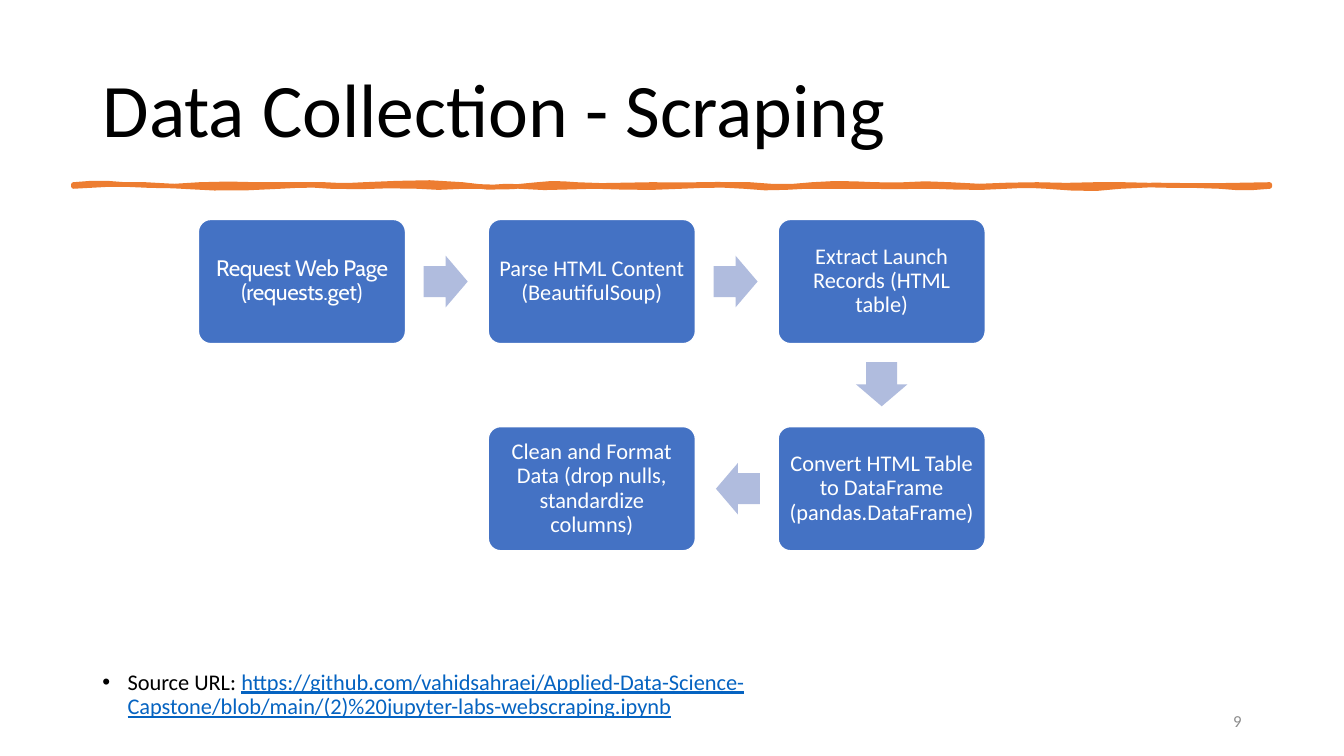
from lxml.etree import SubElement
from pptx import Presentation
from pptx.dml.color import RGBColor
from pptx.enum.shapes import MSO_SHAPE
from pptx.enum.text import MSO_ANCHOR, MSO_AUTO_SIZE, PP_ALIGN
from pptx.oxml.ns import qn
from pptx.util import Cm, Pt

COLOURS = {
    "text": "000000",
    "rule": "ED7D31",
    "step": "4472C4",
    "arrow": "B0BCDE",
    "light": "FFFFFF",
    "link": "0563C1",
    "number": "8C8C8C",
}

# Steps: column, row, text, format values
STEPS = [
    (0, 0, "Request Web Page (requests.get)", {"name": "Cabin"}),
    (1, 0, "Parse HTML Content (BeautifulSoup)", {}),
    (2, 0, "Extract Launch Records (HTML table)", {}),
    (2, 1, "Convert HTML Table to DataFrame (pandas.DataFrame)", {}),
    (1, 1, "Clean and Format Data (drop nulls, standardize columns)", {}),
]

# Waves of the rule: end x in cm, bend of the first and second half
TOP_WAVES = [
    (1.3, -2, -2), (3.18, 1, 3), (5.36, -2, 1), (6.33, 0, 0),
    (7.32, 1, 1), (9.81, -1, -4), (11.69, 5, 3), (12.68, -2, -1),
    (14.56, 2, 0), (17.05, 1, -1), (18.62, 2, 3), (20.2, -2, -1),
    (22.1, 2, -3), (24.29, 4, -1), (26.47, 2, -1), (30.15, 2, 1),
]
BOTTOM_WAVES = [
    (28.88, 2, 2), (26.39, -1, -3), (24.52, 4, 2), (23.52, -1, -1),
    (21.65, 2, 1), (20.07, 0, 1), (18.47, 0, 0), (16.9, 1, 3),
    (15.32, -2, -1), (13.14, 2, 1), (11.23, 0, 3), (10.27, -2, 2),
    (8.67, -1, 3), (6.48, -2, 2), (5.21, -2, -1), (2.72, 2, 3),
    (0, -3, -3),
]


def apply(target, values):
    for name, value in values.items():
        setattr(target, name, value)


def colour(name):
    return RGBColor.from_string(COLOURS[name])


def place(shape, box):
    apply(shape, dict(zip(("left", "top", "width", "height"), map(Cm, box))))


def add_run(paragraph, text, colour_name, size, **font_values):
    run = paragraph.add_run()
    run.text = text
    apply(run.font, {"name": "Calibri", "size": Pt(size), **font_values})
    run.font.color.rgb = colour(colour_name)
    return run


def paint(shape, fill, line=None, width=1):
    shape.shadow.inherit = False
    shape.fill.solid()
    shape.fill.fore_color.rgb = colour(fill)
    if line:
        shape.line.color.rgb = colour(line)
        shape.line.width = Pt(width)
    else:
        shape.line.fill.background()


def add_title(slide, box):
    title = slide.shapes.title
    place(title, box)
    apply(title.text_frame, {
        "word_wrap": True,
        "auto_size": MSO_AUTO_SIZE.NONE,
        "vertical_anchor": MSO_ANCHOR.MIDDLE,
    })
    paragraph = title.text_frame.paragraphs[0]
    apply(paragraph, {"alignment": PP_ALIGN.LEFT, "line_spacing": 0.9,
                      "space_after": Pt(6)})
    add_run(paragraph, "Data Collection - Scraping", "text", 54)


def wave_points(start_x, edge_y, waves, samples=3):
    """Follow cubic curves whose control points stand at thirds."""
    points = []
    for end_x, first_bend, second_bend in waves:
        for index in range(1, samples + 1):
            t = index / samples
            bend = 3 * t * (1 - t) * ((1 - t) * first_bend + t * second_bend)
            points.append((start_x + t * (end_x - start_x),
                           edge_y + 0.025 * bend))
        start_x = end_x
    return points


def add_rule(slide, box):
    left, top, width, height = box
    outline = [(0, 0)] + wave_points(0, 0, TOP_WAVES)
    outline += [(width, height)] + wave_points(width, height, BOTTOM_WAVES)
    points = [(Cm(left + x), Cm(top + y)) for x, y in outline]
    builder = slide.shapes.build_freeform(*points[0])
    builder.add_line_segments(points[1:], close=True)
    paint(builder.convert_to_shape(), "rule", "rule", 3.25)


def add_step(slide, box, text, font_values):
    shape = slide.shapes.add_shape(MSO_SHAPE.ROUNDED_RECTANGLE, *map(Cm, box))
    shape.adjustments[0] = 0.1
    paint(shape, "step", "light")
    margins = ("margin_left", "margin_top", "margin_right", "margin_bottom")
    apply(shape.text_frame, {
        "word_wrap": True,
        "vertical_anchor": MSO_ANCHOR.MIDDLE,
        **dict.fromkeys(margins, Cm(0.17)),
    })
    paragraph = shape.text_frame.paragraphs[0]
    apply(paragraph, {"alignment": PP_ALIGN.CENTER, "line_spacing": 0.9})
    run = add_run(paragraph, text, "light", 16, **font_values)
    if font_values:
        run.font._element.set("spc", "-25")


def add_arrow(slide, centre_x, centre_y, rotation):
    width, height = 1.11, 1.3
    box = (centre_x - width / 2, centre_y - height / 2, width, height)
    arrow = slide.shapes.add_shape(MSO_SHAPE.RIGHT_ARROW, *map(Cm, box))
    arrow.adjustments[0] = 0.6
    arrow.rotation = rotation
    paint(arrow, "arrow")


def add_flow(slide, box):
    left, top, width, height = box
    step_width, step_height = 5.22, 3.13
    column_pitch = (width - step_width) / 2
    row_pitch = height - step_height
    centres = []
    for column, row, text, font_values in STEPS:
        x, y = left + column * column_pitch, top + row * row_pitch
        add_step(slide, (x, y, step_width, step_height), text, font_values)
        centres.append((x + step_width / 2, y + step_height / 2))
    # Each arrow stands between two steps, slightly nearer the first
    rotations = (0, 0, 90, 180)
    for start, end, rotation in zip(centres, centres[1:], rotations):
        x, y = (0.496 * b + 0.504 * a for a, b in zip(start, end))
        add_arrow(slide, x, y, rotation)


def add_source_link(slide, box):
    frame = slide.shapes.add_textbox(*map(Cm, box)).text_frame
    frame.word_wrap = True
    paragraph = frame.paragraphs[0]
    paragraph.line_spacing = 0.9
    properties = paragraph._p.get_or_add_pPr()
    properties.set("marL", str(Cm(0.635)))
    properties.set("indent", str(-Cm(0.635)))
    SubElement(properties, qn("a:buFont")).set("typeface", "Arial")
    SubElement(properties, qn("a:buChar")).set("char", "•")
    add_run(paragraph, "Source URL: ", "text", 16)
    add_run(paragraph, "https://github.com/vahidsahraei/Applied-Data-Science-"
            "Capstone/blob/main/(2)%20jupyter-labs-webscraping.ipynb",
            "link", 16, underline=True)


def add_slide_number(slide, box):
    frame = slide.shapes.add_textbox(*map(Cm, box)).text_frame
    apply(frame, {"word_wrap": True, "vertical_anchor": MSO_ANCHOR.MIDDLE})
    paragraph = frame.paragraphs[0]
    paragraph.alignment = PP_ALIGN.RIGHT
    add_run(paragraph, "9", "number", 12)


def main():
    presentation = Presentation()
    apply(presentation, {"slide_width": Cm(33.87), "slide_height": Cm(19.05)})
    slide = presentation.slides.add_slide(presentation.slide_layouts[5])
    add_title(slide, (2.33, 1.02, 29.21, 3.68))
    add_rule(slide, (1.85, 4.65, 30.15, 0.05))
    add_slide_number(slide, (23.92, 17.65, 7.62, 1.02))
    add_source_link(slide, (2.33, 16.78, 18.54, 1.6))
    add_flow(slide, (5, 5.53, 19.83, 8.35))
    presentation.save("out.pptx")


if __name__ == "__main__":
    main()
